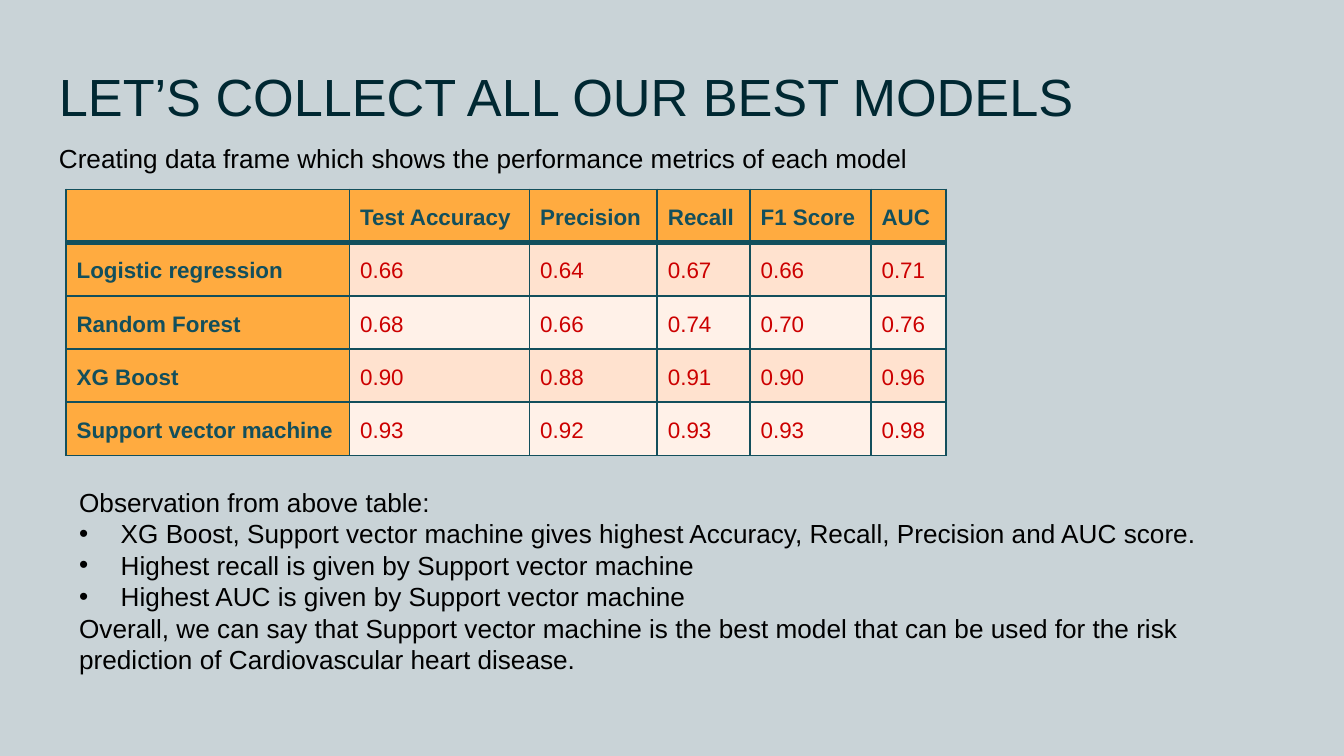
from lxml.etree import SubElement
from pptx import Presentation
from pptx.dml.color import RGBColor
from pptx.enum.text import MSO_ANCHOR
from pptx.oxml.ns import qn
from pptx.util import Inches, Pt

HUES = {
    "back": "C9D3D7", "title": "002832", "text": "000000",
    "head": "FFAB40", "odd": "FFE2CF", "even": "FFF1E8",
    "teal": "134F5C", "red": "CC0000",
}


def add_run(para, text, size, hue, bold=False):
    run = para.add_run()
    run.text = text
    run.font.name = "Arial"
    run.font.size = Pt(size)
    run.font.bold = bold
    run.font.color.rgb = RGBColor.from_string(HUES[hue])


def add_box(left, top, width, height, wrap=True):
    box = slide.shapes.add_textbox(Inches(left), Inches(top), Inches(width), Inches(height))
    box.text_frame.word_wrap = wrap
    return box.text_frame


# Wide slide, 16 to 9
prs = Presentation()
prs.slide_width = Inches(10)
prs.slide_height = Inches(10 * 9 / 16)
slide = prs.slides.add_slide(prs.slide_layouts[6])
slide.background.fill.solid()
slide.background.fill.fore_color.rgb = RGBColor.from_string(HUES["back"])

# Title and lead line
title = add_box(0.34, 0.38, 9.32, 0.63)
title.margin_top = title.margin_bottom = Inches(0.1)
add_run(title.paragraphs[0], "LET’S COLLECT ALL OUR BEST MODELS", 28, "title")
lead = add_box(0.34, 1.01, 6.54, 0.34, wrap=False)
add_run(lead.paragraphs[0],
        "Creating data frame which shows the performance metrics of each model", 14, "text")

# Table of scores
rows = [
    ["", "Test Accuracy", "Precision", "Recall", "F1 Score", "AUC"],
    ["Logistic regression", "0.66", "0.64", "0.67", "0.66", "0.71"],
    ["Random Forest", "0.68", "0.66", "0.74", "0.70", "0.76"],
    ["XG Boost", "0.90", "0.88", "0.91", "0.90", "0.96"],
    ["Support vector machine", "0.93", "0.92", "0.93", "0.93", "0.98"],
]
widths = [2.11, 1.34, 0.95, 0.69, 0.9, 0.56]
table = slide.shapes.add_table(len(rows), len(widths), Inches(0.49), Inches(1.41),
                               Inches(sum(widths)), Inches(1.98)).table
for col, width in zip(table.columns, widths):
    col.width = Inches(width)

for r, row in enumerate(rows):
    for c, text in enumerate(row):
        cell = table.cell(r, c)
        label = r == 0 or c == 0
        cell.vertical_anchor = MSO_ANCHOR.MIDDLE
        cell.margin_left = cell.margin_right = Inches(0.08)
        cell.margin_top = cell.margin_bottom = Inches(0.08)
        para = cell.text_frame.paragraphs[0]
        para.line_spacing = 1.15
        if text:
            add_run(para, text, 12, "teal" if label else "red", label)
        else:
            para.font.size = Pt(12)

        # Cell borders, thick below the header, come before the fill
        props = cell._tc.get_or_add_tcPr()
        for side in ("L", "R", "T", "B"):
            thick = (r, side) in ((0, "B"), (1, "T"))
            line = SubElement(props, qn(f"a:ln{side}"), w=str(Pt(3 if thick else 1)))
            paint = SubElement(line, qn("a:solidFill"))
            SubElement(paint, qn("a:srgbClr"), val=HUES["teal"])
        cell.fill.solid()
        hue = "head" if label else "odd" if r % 2 else "even"
        cell.fill.fore_color.rgb = RGBColor.from_string(HUES[hue])

# Notes below the table
notes = [
    ("Observation from above table:", False),
    ("XG Boost, Support vector machine gives highest Accuracy, Recall, "
     "Precision and AUC score.", True),
    ("Highest recall is given by Support vector machine", True),
    ("Highest AUC is given by Support vector machine", True),
    ("Overall, we can say that Support vector machine is the best model that can be "
     "used for the risk prediction of Cardiovascular heart disease.", False),
]
frame = add_box(0.49, 3.57, 9.02, 1.51)
for i, (text, dot) in enumerate(notes):
    para = frame.add_paragraph() if i else frame.paragraphs[0]
    if dot:
        props = para._p.get_or_add_pPr()
        props.set("marL", str(Inches(0.31)))
        props.set("indent", str(-Inches(0.31)))
        paint = SubElement(props, qn("a:buClr"))
        SubElement(paint, qn("a:srgbClr"), val=HUES["text"])
        SubElement(props, qn("a:buFont"), typeface="Arial")
        SubElement(props, qn("a:buChar"), char="•")
    add_run(para, text, 14, "text")

prs.save("out.pptx")
